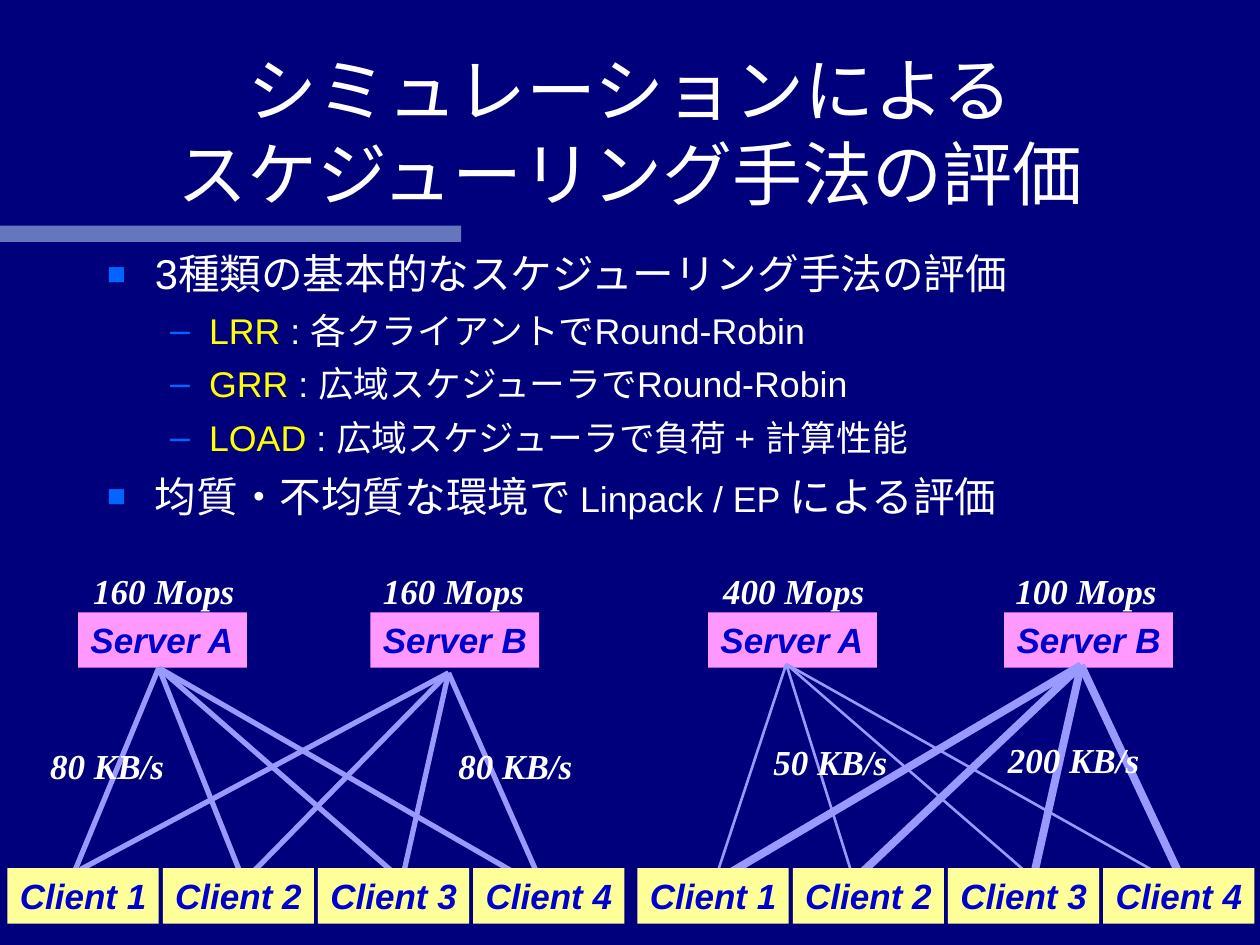
from pptx import Presentation, util as u
from pptx.dml.color import RGBColor
from pptx.enum import shapes, text
from pptx.oxml import parse_xml
from pptx.oxml.ns import nsdecls, qn
from lxml import etree

NAVY = RGBColor(0x00, 0x00, 0x7C)
WHITE = RGBColor(0xFF, 0xFF, 0xFF)
YELLOW = RGBColor(0xFF, 0xFF, 0x00)
PALE_BLUE = RGBColor(0xCC, 0xEC, 0xFF)
BULLET_BLUE = RGBColor(0x00, 0x66, 0xFF)
PINK = RGBColor(0xFF, 0x99, 0xFF)
CREAM = RGBColor(0xFF, 0xFF, 0x99)
LABEL_BLUE = RGBColor(0x00, 0x00, 0xCC)
LINK = RGBColor(0x99, 0x99, 0xFF)

COLUMNS, ROWS = 100, 75
LABEL_HEIGHT = 4.4
SERVER_WIDTH, CLIENT_WIDTH, CLIENT_STEP = 13.4, 12, 12.32
SERVER_ROW, CLIENT_ROW = 3.9, 24.2

BULLETS = [
    (0, [("3種類の基本的なスケジューリング手法の評価", 23.8, WHITE)]),
    (1, [("LRR ", 20.4, YELLOW), (": 各クライアントでRound-Robin", 20.4, WHITE)]),
    (1, [("GRR ", 20.4, YELLOW), (": 広域スケジューラでRound-Robin", 20.4, WHITE)]),
    (1, [("LOAD ", 20.4, YELLOW), (": 広域スケジューラで負荷 + 計算性能", 20.4, WHITE)]),
    (0, [("均質・不均質な環境で ", 23.8, WHITE), ("Linpack / EP ", 20.4, WHITE),
         ("による評価", 23.8, WHITE)]),
]
LEVELS = [(0.38, -0.38, 7, "■", 75), (0.81, -0.31, 6, "–", 100)]

# Server: name, left, speed, speed left, hub, link ends, link width, rate, rate position
HOMOGENEOUS = [
    ("Server A", 6.2, "160 Mops", 6.4, (12.6, 8.3),
     [(5.7, 25), (19.4, 25.4), (32.2, 25.4), (42.3, 25.4)], 3, "80 KB/s", (3, 13.9, 11)),
    ("Server B", 29.4, "160 Mops", 29.4, (35.6, 8.7),
     [(6.4, 24.3), (19.6, 25), (32.1, 24.3), (42.8, 25)], 3, "80 KB/s", (35.4, 13.9, 11)),
]
HETEROGENEOUS = [
    ("Server A", 6.2, "400 Mops", 6.4, (12.4, 8),
     [(6.2, 26.8), (17.5, 24.3), (32, 25), (42.6, 25)], 1.5, "50 KB/s", (10.4, 13.6, 11)),
    ("Server B", 29.7, "100 Mops", 29.6, (35.8, 8.1),
     [(7.2, 25), (17.5, 25.4), (32, 25), (44.6, 26.8)], 4.5, "200 KB/s", (29, 13.4, 12.4)),
]


def grid(deck, *cells):
    steps = (deck.slide_width / COLUMNS, deck.slide_height / ROWS)
    return [round(cell * steps[index % 2]) for index, cell in enumerate(cells)]


def add_text(para, words, size, color, font="Arial", strong=False):
    span = para.add_run()
    span.text = words
    span.font.name = font
    span.font.size = u.Pt(size)
    span.font.color.rgb = color
    if strong:
        span.font.bold = span.font.italic = True


def add_title(page, box, lines):
    title = page.shapes.title
    title.left, title.top, title.width, title.height = box
    frame = title.text_frame
    frame.auto_size = text.MSO_AUTO_SIZE.NONE
    frame.vertical_anchor = text.MSO_ANCHOR.BOTTOM
    para = frame.paragraphs[0]
    para.alignment = text.PP_ALIGN.CENTER
    for index, line in enumerate(lines):
        if index:
            para.add_line_break()
        add_text(para, line, 40, WHITE)


def set_bullet(para, level):
    left, indent, space, mark, percent = LEVELS[level]
    para.level = level
    para.space_before = u.Pt(space)
    props = para._p.get_or_add_pPr()
    props.set("marL", str(u.Inches(left)))
    props.set("indent", str(u.Inches(indent)))
    for xml in (f'<a:buClr {nsdecls("a")}><a:srgbClr val="{BULLET_BLUE}"/></a:buClr>',
                f'<a:buSzPct {nsdecls("a")} val="{percent * 1000}"/>',
                f'<a:buFont {nsdecls("a")} typeface="Arial"/>',
                f'<a:buChar {nsdecls("a")} char="{mark}"/>'):
        props.append(parse_xml(xml))


def add_bullets(page, box):
    body = page.placeholders[1]
    body.left, body.top, body.width, body.height = box
    frame = body.text_frame
    frame.auto_size = text.MSO_AUTO_SIZE.NONE
    for index, (level, spans) in enumerate(BULLETS):
        para = frame.add_paragraph() if index else frame.paragraphs[0]
        set_bullet(para, level)
        for span in spans:
            add_text(para, *span)


def add_block(page, box, fill):
    block = page.shapes.add_shape(shapes.MSO_SHAPE.RECTANGLE, *box)
    block.shadow.inherit = False
    block.fill.solid()
    block.fill.fore_color.rgb = fill
    block.line.fill.background()
    return block


def add_accent_bar(page, box):
    bar = add_block(page, box, PALE_BLUE)
    color = bar._element.spPr.find(qn("a:solidFill")).find(qn("a:srgbClr"))
    etree.SubElement(color, qn("a:alpha")).set("val", "50000")


def add_label(page, box, words, fill=None):
    label = add_block(page, box, fill) if fill else page.shapes.add_textbox(*box)
    frame = label.text_frame
    frame.word_wrap = True
    frame.auto_size = text.MSO_AUTO_SIZE.NONE
    frame.margin_right = 0
    frame.vertical_anchor = text.MSO_ANCHOR.TOP
    para = frame.paragraphs[0]
    para.alignment = text.PP_ALIGN.LEFT
    if fill:
        add_text(para, words, 20, LABEL_BLUE, strong=True)
    else:
        add_text(para, words, 20, WHITE, "Times New Roman", strong=True)


def add_link(page, start, end, width):
    link = page.shapes.add_connector(shapes.MSO_CONNECTOR.STRAIGHT, *start, *end)
    link.line.color.rgb = LINK
    link.line.width = u.Pt(width)
    etree.SubElement(link._element.spPr, qn("a:effectLst"))


def add_network(deck, page, left, top, servers):
    def place(column, row, *size):
        return grid(deck, left + column, top + row, *size)

    for name, column, speed, speed_column, *_ in servers:
        add_label(page, place(column, SERVER_ROW, SERVER_WIDTH, LABEL_HEIGHT), name, PINK)
        add_label(page, place(speed_column, 0, 13.2, LABEL_HEIGHT), speed)
    for *_, hub, ends, width, _, _ in servers:
        for end in ends:
            add_link(page, place(*hub), place(*end), width)
    for *_, rate, (column, row, width) in servers:
        add_label(page, place(column, row, width, LABEL_HEIGHT), rate)
    for index in range(4):
        box = place(0.6 + index * CLIENT_STEP, CLIENT_ROW, CLIENT_WIDTH, LABEL_HEIGHT)
        add_label(page, box, f"Client {index + 1}", CREAM)


def main():
    deck = Presentation()
    deck.slide_width, deck.slide_height = u.Inches(10), u.Inches(7.5)
    page = deck.slides.add_slide(deck.slide_layouts[1])
    page.background.fill.solid()
    page.background.fill.fore_color.rgb = NAVY
    add_accent_bar(page, grid(deck, 0, 17.9, 36.6, 1.3))
    add_title(page, grid(deck, 7.5, 5, 85, 12.5),
              ["シミュレーションによる", "スケジューリング手法の評価"])
    add_bullets(page, grid(deck, 7.5, 19.2, 85, 23.3))
    add_network(deck, page, 50, 44.7, HETEROGENEOUS)
    add_network(deck, page, 0, 44.7, HOMOGENEOUS)
    deck.save("out.pptx")


if __name__ == "__main__":
    main()
